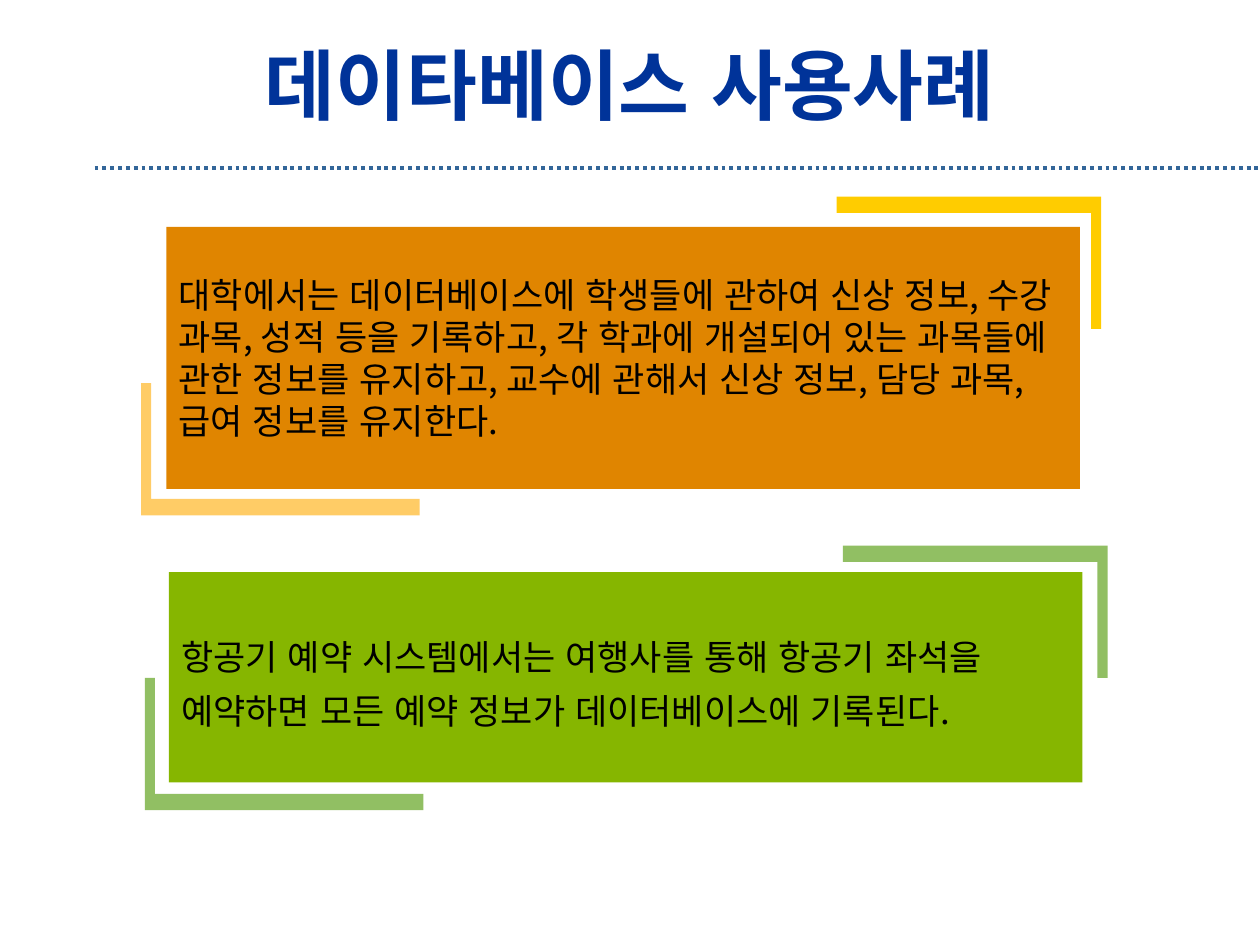
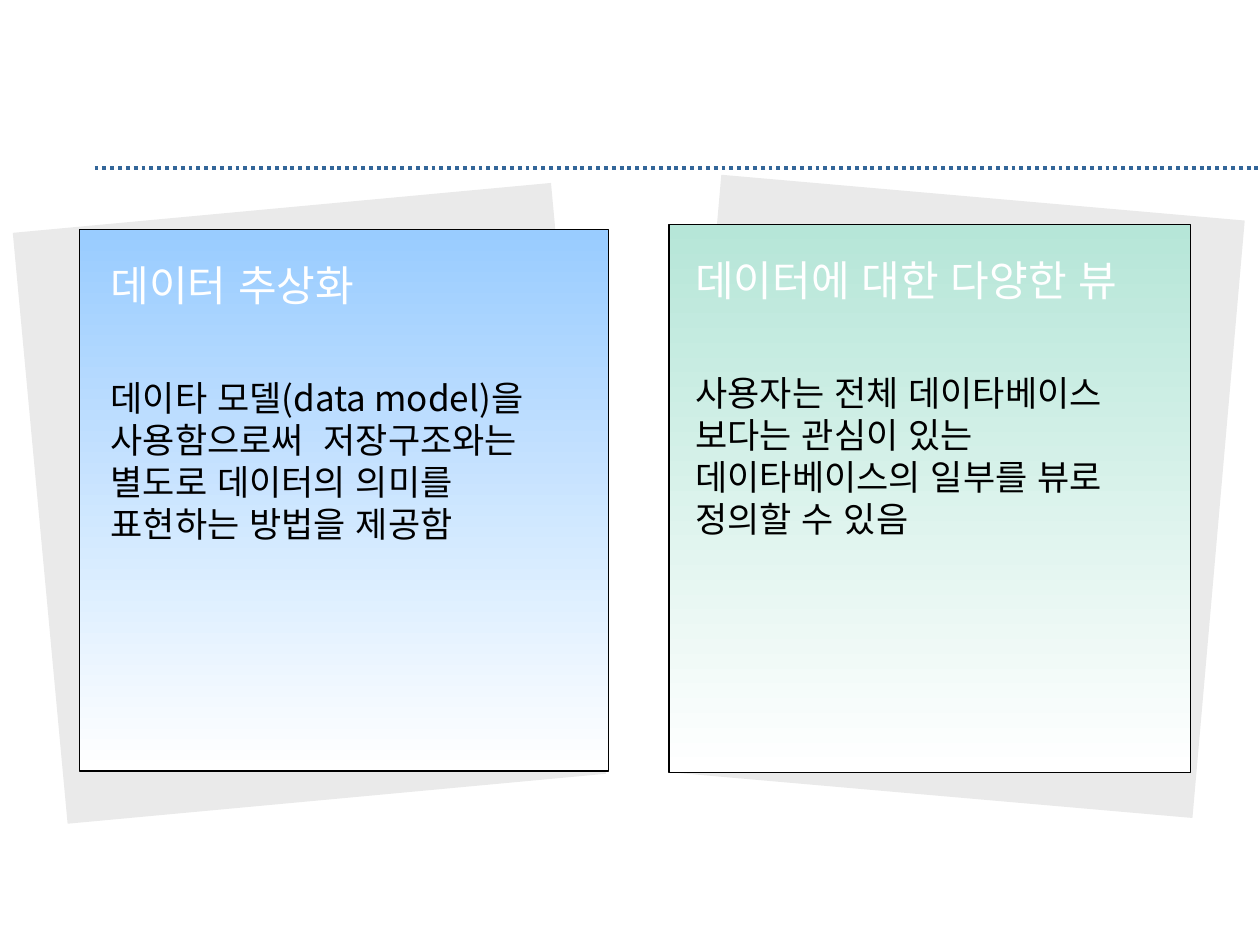
from lxml.etree import SubElement
from pptx import Presentation
from pptx.dml.color import RGBColor
from pptx.enum.dml import MSO_LINE
from pptx.enum.lang import MSO_LANGUAGE_ID
from pptx.enum.shapes import MSO_CONNECTOR, MSO_SHAPE
from pptx.enum.text import MSO_ANCHOR, MSO_AUTO_SIZE, PP_ALIGN
from pptx.oxml.ns import qn
from pptx.util import Inches, Pt

FONT = "Noto Sans CJK KR"
NAVY = RGBColor(0x00, 0x33, 0x99)
STEEL = RGBColor(0x33, 0x66, 0x99)
BLACK = RGBColor(0x00, 0x00, 0x00)
WHITE = RGBColor(0xFF, 0xFF, 0xFF)
PAPER_GRAY = RGBColor(0xEA, 0xEA, 0xEA)
ORANGE = RGBColor(0xE0, 0x85, 0x00)
YELLOW = RGBColor(0xFF, 0xCC, 0x00)
PEACH = RGBColor(0xFF, 0xCC, 0x66)
GREEN = RGBColor(0x86, 0xB6, 0x00)
SAGE = RGBColor(0x91, 0xBF, 0x63)
SKY = RGBColor(0x99, 0xCC, 0xFF)
MINT = RGBColor(0xB6, 0xE6, 0xD8)

TITLE = "데이타베이스 사용사례"
USE_CASES = [
    dict(text="대학에서는 데이터베이스에 학생들에 관하여 신상 정보, 수강 과목, 성적 등을 기록하고, "
              "각 학과에 개설되어 있는 과목들에 관한 정보를 유지하고, 교수에 관해서 신상 정보, "
              "담당 과목, 급여 정보를 유지한다.",
         area=(1.32, 1.8, 7.25, 2.08), fill=ORANGE, leading=24,
         lower_left=(1.12, 4.09, PEACH), upper_right=(8.74, 1.56, YELLOW)),
    dict(text="항공기 예약 시스템에서는 여행사를 통해 항공기 좌석을 예약하면 "
              "모든 예약 정보가 데이터베이스에 기록된다.",
         area=(1.34, 4.54, 7.25, 1.67), fill=GREEN, leading=31,
         lower_left=(1.15, 6.43, SAGE), upper_right=(8.79, 4.33, SAGE)),
]
FEATURES = [
    dict(heading="데이터 추상화",
         body="데이타 모델(data model)을 사용함으로써  저장구조와는 별도로 데이터의 의미를 "
              "표현하는 방법을 제공함",
         sheet=(0.31, 1.64, 4.29, 4.71), tilt=-5.3, card=(0.63, 1.82, 4.2, 4.3),
         text_area=(0.78, 2.01, 3.97, 2.39), tint=SKY),
    dict(heading="데이터에 대한 다양한 뷰",
         body="사용자는 전체 데이타베이스 보다는 관심이 있는 데이타베이스의 일부를 뷰로 "
              "정의할 수 있음",
         sheet=(5.51, 1.56, 4.17, 4.76), tilt=5, card=(5.31, 1.78, 4.14, 4.35),
         text_area=(5.42, 1.97, 4.19, 2.05), tint=MINT),
]


def inches(values):
    """Turn a sequence of numbers into lengths."""
    return [Inches(value) for value in values]


def write(para, text, size, color, leading, align=PP_ALIGN.LEFT, bold=False):
    """Fill a paragraph with text in the deck font."""
    para.text = text
    para.alignment = align
    para.line_spacing = Pt(leading)
    font = para.font
    font.size, font.bold, font.name = Pt(size), bold, FONT
    font.color.rgb = color
    font.language_id = MSO_LANGUAGE_ID.KOREAN
    properties = para._p.pPr.find(qn("a:defRPr"))
    SubElement(properties, qn("a:ea")).set("typeface", FONT)


def add_page(deck, layout):
    """Add a slide with the dotted rule below the title area."""
    page = deck.slides.add_slide(deck.slide_layouts[layout])
    rule = page.shapes.add_connector(
        MSO_CONNECTOR.STRAIGHT, *inches((0.75, 1.33, 10, 1.33)))
    rule.line.color.rgb = STEEL
    rule.line.width = Pt(2.25)
    rule.line.dash_style = MSO_LINE.ROUND_DOT
    SubElement(rule._element.spPr, qn("a:effectLst"))
    return page


def add_rectangle(shapes, area, color):
    """Add a flat rectangle without an outline."""
    box = shapes.add_shape(MSO_SHAPE.RECTANGLE, *inches(area))
    box.shadow.inherit = False
    box.fill.solid()
    box.fill.fore_color.rgb = color
    box.line.fill.background()
    return box


def add_bracket(shapes, corner, width, direction):
    """Draw an L from its outer corner: 1 goes right and up, -1 left and down."""
    left, top, color = corner
    steps = [(0, 0), (width, 0), (width, -0.13), (0.08, -0.13), (0.08, -1.05), (0, -1.05)]
    points = [(Inches(left + direction * across), Inches(top + direction * down))
              for across, down in steps]
    builder = shapes.build_freeform(*points[0])
    builder.add_line_segments(points[1:], close=True)
    bracket = builder.convert_to_shape()
    bracket.shadow.inherit = False
    bracket.fill.solid()
    bracket.fill.fore_color.rgb = color
    bracket.line.fill.background()


def add_use_case(page, case):
    """Add a coloured text box framed by two corner brackets."""
    add_bracket(page.shapes, case["lower_left"], 2.21, 1)
    add_bracket(page.shapes, case["upper_right"], 2.1, -1)
    box = add_rectangle(page.shapes, case["area"], case["fill"])
    frame = box.text_frame
    frame.word_wrap = True
    frame.vertical_anchor = MSO_ANCHOR.MIDDLE
    write(frame.paragraphs[0], case["text"], 20, BLACK, case["leading"])


def add_feature(page, feature):
    """Add a gradient card with text over a tilted sheet."""
    shapes = page.shapes.add_group_shape().shapes
    add_rectangle(shapes, feature["sheet"], PAPER_GRAY).rotation = feature["tilt"]
    card = add_rectangle(shapes, feature["card"], WHITE)
    card.fill.gradient()
    card.fill.gradient_angle = 270
    for stop, color in zip(card.fill.gradient_stops, (feature["tint"], WHITE)):
        stop.color.rgb = color
    card.line.color.rgb = BLACK
    card.line.width = Pt(0.75)
    frame = shapes.add_textbox(*inches(feature["text_area"])).text_frame
    frame.word_wrap = True
    write(frame.paragraphs[0], feature["heading"], 24, WHITE, 29)
    body = frame.add_paragraph()
    write(body, feature["body"], 20, BLACK, 24)
    body.space_before = Pt(38)


def add_title(page, text):
    """Place and format the slide title."""
    title = page.shapes.title
    title.left, title.top, title.width, title.height = inches((0, 0.25, 10, 0.83))
    frame = title.text_frame
    frame.auto_size = MSO_AUTO_SIZE.NONE
    frame.vertical_anchor = MSO_ANCHOR.MIDDLE
    write(frame.paragraphs[0], text, 44, NAVY, 53, PP_ALIGN.CENTER, True)


def main():
    """Build and save the deck."""
    deck = Presentation()
    deck.slide_width, deck.slide_height = inches((10, 7.5))
    page = add_page(deck, 5)
    add_title(page, TITLE)
    for case in USE_CASES:
        add_use_case(page, case)
    page = add_page(deck, 6)
    for feature in FEATURES:
        add_feature(page, feature)
    deck.save("out.pptx")


if __name__ == "__main__":
    main()
